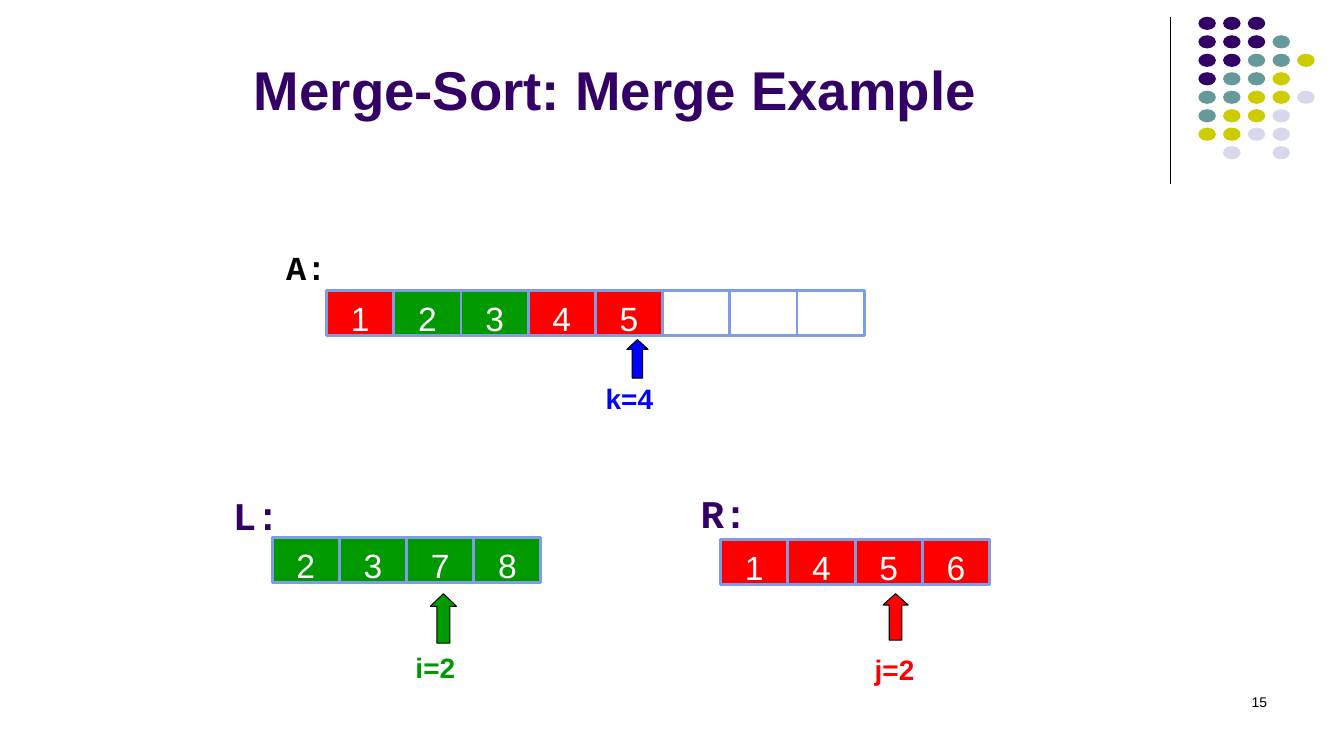
from dataclasses import dataclass

from lxml.etree import SubElement
from pptx import Presentation
from pptx.dml.color import RGBColor
from pptx.enum.shapes import MSO_CONNECTOR, MSO_SHAPE
from pptx.enum.text import MSO_ANCHOR, PP_ALIGN
from pptx.oxml.ns import qn
from pptx.util import Pt


@dataclass(frozen=True)
class Theme:
    """Colours, fonts and type sizes of the slide."""
    purple: str = "330066"
    teal: str = "669999"
    olive: str = "CCCC00"
    lavender: str = "D8D8EC"
    red: str = "FF0000"
    green: str = "009900"
    blue: str = "0000FF"
    white: str = "FFFFFF"
    black: str = "000000"
    cell_border: str = "7E9CE8"
    sans: str = "Arial"
    mono: str = "Courier New"
    title_size: int = 39
    half_name_size: int = 28
    cell_size: int = 24
    index_size: int = 20
    page_size: int = 10


THEME = Theme()
CELL_WIDTH, CELL_HEIGHT = 48, 32.4
DOT_ROWS = ("PPP", "PPPT", "PPTTO", "PTTO", "TTOOL", "TOOL", "OOLL", " L L")
DOT_COLOURS = {"P": THEME.purple, "T": THEME.teal,
               "O": THEME.olive, "L": THEME.lavender}


def write(frame, words, size, colour, bold=False, font=THEME.sans,
          align=PP_ALIGN.LEFT, anchor=MSO_ANCHOR.TOP, insets=(7.2, 3.6)):
    """Put one formatted run into a text frame."""
    frame.word_wrap = True
    frame.vertical_anchor = anchor
    frame.margin_left = frame.margin_right = Pt(insets[0])
    frame.margin_top, frame.margin_bottom = Pt(insets[1]), Pt(0)
    paragraph = frame.paragraphs[0]
    paragraph.alignment = align
    run = paragraph.add_run()
    run.text = words
    run.font.name, run.font.size, run.font.bold = font, Pt(size), bold
    run.font.color.rgb = RGBColor.from_string(colour)


def add_label(slide, words, left, top, width, height, size, colour, **style):
    """Add a free-standing text label."""
    label = slide.shapes.add_textbox(Pt(left), Pt(top), Pt(width), Pt(height))
    write(label.text_frame, words, size, colour, **style)


def add_filled(slide, preset, left, top, width, height, fill,
               border=None, border_width=0.75):
    """Add a flat preset shape, outlined if a border colour is given."""
    figure = slide.shapes.add_shape(preset, Pt(left), Pt(top), Pt(width), Pt(height))
    figure.shadow.inherit = False
    figure.fill.solid()
    figure.fill.fore_color.rgb = RGBColor.from_string(fill)
    if border:
        figure.line.color.rgb = RGBColor.from_string(border)
        figure.line.width = Pt(border_width)
    else:
        figure.line.fill.background()
    return figure


def add_array(slide, left, top, entries):
    """Draw a row of array cells from (value, fill) pairs."""
    for position, (value, fill) in enumerate(entries):
        cell = add_filled(slide, MSO_SHAPE.RECTANGLE, left + position * CELL_WIDTH,
                          top, CELL_WIDTH, CELL_HEIGHT, fill, THEME.cell_border, 2)
        if value:
            write(cell.text_frame, value, THEME.cell_size, THEME.white,
                  align=PP_ALIGN.CENTER, insets=(7.2, 5.4))


def add_index(slide, words, colour, arrow_box, head, label_left, label_top):
    """Add an upward arrow and the index value below it."""
    arrow = add_filled(slide, MSO_SHAPE.UP_ARROW, *arrow_box, colour, THEME.black)
    arrow.adjustments[0], arrow.adjustments[1] = 0.5, head
    add_label(slide, words, label_left, label_top, 56, 31, THEME.index_size, colour,
              bold=True, align=PP_ALIGN.CENTER, insets=(0, 4.5))


def add_corner(slide):
    """Draw the vertical rule and the dot pattern at the top right."""
    rule = slide.shapes.add_connector(
        MSO_CONNECTOR.STRAIGHT, Pt(835.9), Pt(12.2), Pt(835.9), Pt(131.8))
    rule.line.color.rgb = RGBColor.from_string(THEME.black)
    rule.line.width = Pt(0.75)
    SubElement(rule._element.spPr, qn("a:effectLst"))
    for row, dots in enumerate(DOT_ROWS):
        for column, key in enumerate(dots):
            if key in DOT_COLOURS:
                add_filled(slide, MSO_SHAPE.OVAL, 856 + column * 17.64,
                           12 + row * 13.2, 12.5, 9.4, DOT_COLOURS[key])


def add_title(slide, words):
    """Place and format the slide title."""
    title = slide.shapes.title
    title.left, title.top, title.width, title.height = Pt(174.2), Pt(0), Pt(612), Pt(90)
    write(title.text_frame, words, THEME.title_size, THEME.purple, bold=True,
          anchor=MSO_ANCHOR.BOTTOM)
    title.text_frame.margin_bottom = Pt(3.6)


def main():
    """Build the merge example slide."""
    deck = Presentation()
    deck.slide_width, deck.slide_height = Pt(960), Pt(540)
    slide = deck.slides.add_slide(deck.slide_layouts[5])
    red, green, white = THEME.red, THEME.green, THEME.white

    add_corner(slide)
    add_title(slide, "Merge-Sort: Merge Example")
    add_label(slide, "15", 688.3, 491.8, 223.9, 36, THEME.page_size, THEME.black,
              align=PP_ALIGN.RIGHT)

    add_array(slide, 233.3, 207.4, [("1", red), ("2", green), ("3", green), ("4", red),
                                    ("", white), ("", white), ("", white), ("", white)][:4]
              + [("5", red)] + [("", white)] * 3)
    add_array(slide, 194.4, 383.8, [(value, green) for value in "2378"])
    add_array(slide, 514.8, 385.2, [(value, red) for value in "1456"])

    for name, left, top, size, colour in (
            ("A:", 204.5, 169.2, THEME.cell_size, THEME.black),
            ("L:", 166.3, 343.4, THEME.half_name_size, THEME.purple),
            ("R:", 500.4, 342, THEME.half_name_size, THEME.purple)):
        add_label(slide, name, left, top, 42, 40, size, colour, bold=True,
                  font=THEME.mono, insets=(0, 7.2))

    add_index(slide, "k=4", THEME.blue, (447.8, 242.6, 15.1, 27.4), 0.46, 421.6, 267.8)
    add_index(slide, "i=2", green, (307.4, 424.1, 18.7, 35.3), 0.48, 283, 460.1)
    add_index(slide, "j=2", red, (630.7, 424.1, 18, 33.1), 0.45, 611, 461.5)

    deck.save("out.pptx")


if __name__ == "__main__":
    main()
